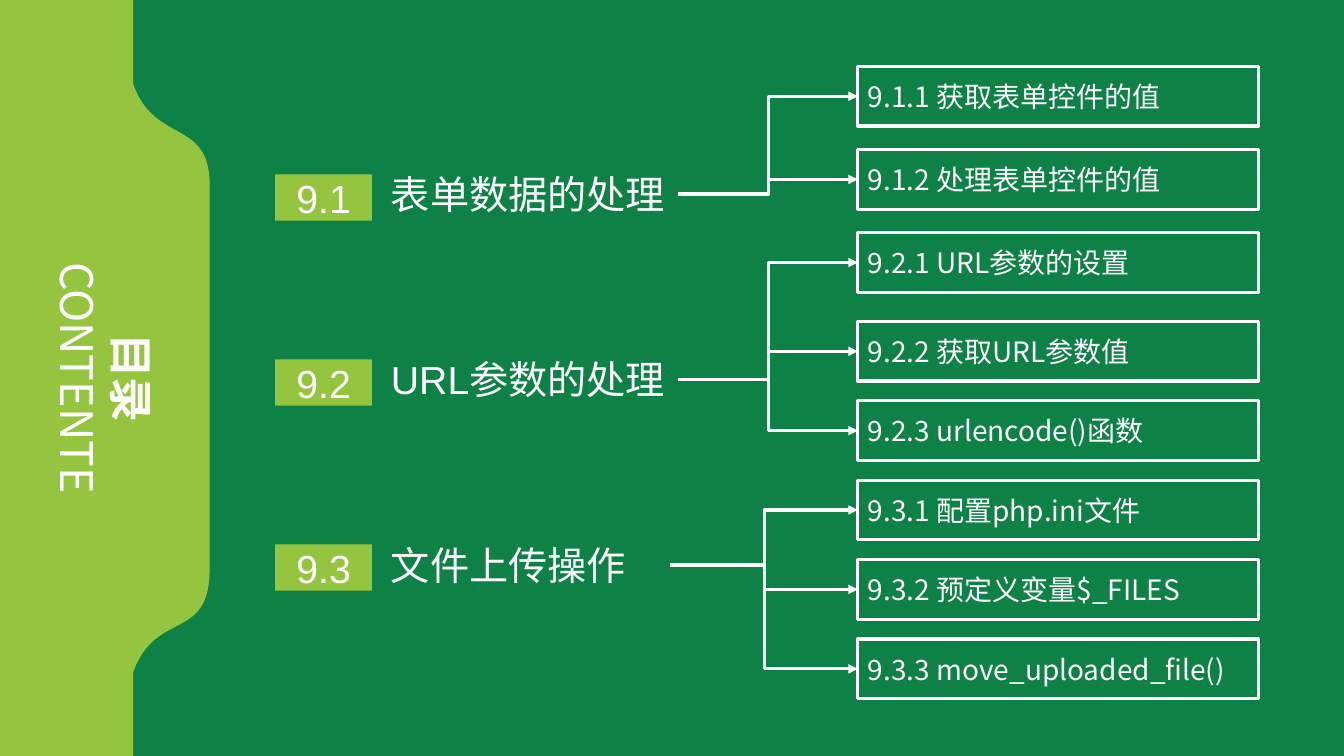
from dataclasses import dataclass

from lxml import etree
from pptx import Presentation
from pptx import util as u
from pptx.dml.color import RGBColor
from pptx.enum import shapes, text
from pptx.oxml.ns import qn
from pptx.shapes.autoshape import Shape
from pptx.slide import Slide
from pptx.text.text import TextFrame

DARK_GREEN = RGBColor(0x0E, 0x81, 0x46)
LIME = RGBColor(0x95, 0xC5, 0x3E)
WHITE = RGBColor(0xFF, 0xFF, 0xFF)
LATIN_FONT = "Arial"
CHINESE_FONT = "Noto Sans CJK SC"

# The slide is a grid of 100 columns and 100 rows
SLIDE_WIDTH = u.Inches(13.33)
SLIDE_HEIGHT = u.Inches(7.5)
LINE_WIDTH = u.Pt(2.25)
CURVE_STEPS = 24

Point = tuple[float, float]


@dataclass(frozen=True)
class Box:
    left: float
    top: float
    width: float
    height: float

    def emu(self) -> tuple[int, int, int, int]:
        return (columns(self.left), rows(self.top),
                columns(self.width), rows(self.height))


@dataclass(frozen=True)
class Chapter:
    number: str
    heading: str
    heading_width: float
    sections: tuple[str, ...]


CHAPTERS = (
    Chapter("9.1", "表单数据的处理", 22.13,
            ("9.1.1 获取表单控件的值", "9.1.2 处理表单控件的值")),
    Chapter("9.2", "URL参数的处理", 22.13,
            ("9.2.1 URL参数的设置", "9.2.2 获取URL参数值",
             "9.2.3 urlencode()函数")),
    Chapter("9.3", "文件上传操作", 21.53,
            ("9.3.1 配置php.ini文件", "9.3.2 预定义变量$_FILES",
             "9.3.3 move_uploaded_file()")),
)
# Three wider spaced section rows, then five closer ones
SECTION_TOPS = ([8.8 + 11 * row for row in range(3)]
                + [42.53 + 10.5 * row for row in range(5)])


def columns(count: float) -> int:
    return round(SLIDE_WIDTH * count / 100)


def rows(count: float) -> int:
    return round(SLIDE_HEIGHT * count / 100)


def curve(start: Point, pull_out: Point, pull_in: Point, end: Point) -> list[Point]:
    """Points along a cubic curve."""
    points = []
    for step in range(CURVE_STEPS + 1):
        t = step / CURVE_STEPS
        weights = ((1 - t) ** 3, 3 * t * (1 - t) ** 2, 3 * t * t * (1 - t), t ** 3)
        controls = (start, pull_out, pull_in, end)
        points.append((sum(w * x for w, (x, _) in zip(weights, controls)),
                       sum(w * y for w, (_, y) in zip(weights, controls))))
    return points


def write(frame: TextFrame, lines: tuple[str, ...], size: float, font: str,
          alignment: text.PP_ALIGN, anchor: text.MSO_ANCHOR,
          bold_first: bool = False) -> None:
    frame.word_wrap = True
    frame.auto_size = text.MSO_AUTO_SIZE.NONE
    frame.vertical_anchor = anchor
    for index, line in enumerate(lines):
        paragraph = frame.paragraphs[0] if index == 0 else frame.add_paragraph()
        paragraph.alignment = alignment
        run = paragraph.add_run()
        run.text = line
        run.font.size = u.Pt(size)
        run.font.bold = bold_first and index == 0
        run.font.color.rgb = WHITE
        run.font.name = font
        properties = run._r.get_or_add_rPr()
        etree.SubElement(properties, qn("a:ea"), typeface=CHINESE_FONT)


def add_panel(slide: Slide) -> Shape:
    outline = [(0, 0), (9.9, 0)]
    outline += curve((9.9, 11.07), (11.48, 19.2), (15.68, 15.6), (15.6, 24.67))
    outline += curve((15.6, 75.33), (15.6, 84.93), (11.63, 80.53), (9.9, 88.93))
    outline += [(9.9, 100), (0, 100)]
    corners = [(columns(x), rows(y)) for x, y in outline]
    builder = slide.shapes.build_freeform(*corners[0])
    builder.add_line_segments(corners[1:], close=True)
    panel = builder.convert_to_shape()
    panel.shadow.inherit = False
    panel.fill.solid()
    panel.fill.fore_color.rgb = LIME
    panel.line.fill.background()
    return panel


def add_title(slide: Slide) -> None:
    title = slide.shapes.title
    title.left, title.top, title.width, title.height = Box(
        -2.93, 42.13, 21.45, 15.73).emu()
    title.rotation = 90
    write(title.text_frame, ("目录", "CONTENTE"), 32, CHINESE_FONT,
          text.PP_ALIGN.CENTER, text.MSO_ANCHOR.TOP, bold_first=True)


def add_rectangle(slide: Slide, box: Box) -> Shape:
    rectangle = slide.shapes.add_shape(shapes.MSO_SHAPE.RECTANGLE, *box.emu())
    rectangle.shadow.inherit = False
    return rectangle


def add_badge(slide: Slide, number: str, top: float) -> None:
    badge = add_rectangle(slide, Box(20.48, top, 7.2, 6.13))
    badge.fill.solid()
    badge.fill.fore_color.rgb = LIME
    badge.line.fill.background()
    write(badge.text_frame, (number,), 28, LATIN_FONT,
          text.PP_ALIGN.CENTER, text.MSO_ANCHOR.MIDDLE)


def add_heading(slide: Slide, chapter: Chapter, top: float) -> Shape:
    heading = slide.shapes.add_textbox(
        *Box(28.35, top, chapter.heading_width, 7.6).emu())
    write(heading.text_frame, (chapter.heading,), 28, LATIN_FONT,
          text.PP_ALIGN.LEFT, text.MSO_ANCHOR.TOP)
    return heading


def add_section(slide: Slide, name: str, top: float) -> Shape:
    section = add_rectangle(slide, Box(63.83, top, 29.78, 7.87))
    section.fill.background()
    section.line.color.rgb = WHITE
    section.line.width = LINE_WIDTH
    write(section.text_frame, (name,), 20, CHINESE_FONT,
          text.PP_ALIGN.LEFT, text.MSO_ANCHOR.MIDDLE)
    return section


def add_branch(slide: Slide, heading: Shape, section: Shape) -> None:
    branch = slide.shapes.add_connector(
        shapes.MSO_CONNECTOR.ELBOW,
        heading.left + heading.width, heading.top + heading.height // 2,
        section.left, section.top + section.height // 2)
    branch.begin_connect(heading, 3)
    branch.end_connect(section, 1)
    branch.line.color.rgb = WHITE
    branch.line.width = LINE_WIDTH
    etree.SubElement(branch.line._get_or_add_ln(), qn("a:tailEnd"), type="triangle")
    etree.SubElement(branch.element.spPr, qn("a:effectLst"))


def main() -> None:
    presentation = Presentation()
    presentation.slide_width = SLIDE_WIDTH
    presentation.slide_height = SLIDE_HEIGHT
    slide = presentation.slides.add_slide(presentation.slide_layouts[5])
    slide.background.fill.solid()
    slide.background.fill.fore_color.rgb = DARK_GREEN

    # Side panel, placed behind the rotated title
    panel = add_panel(slide)
    add_title(slide)
    slide.shapes.title.element.addprevious(panel.element)

    # Chapters with their branches to sections
    section_tops = iter(SECTION_TOPS)
    for index, chapter in enumerate(CHAPTERS):
        heading = add_heading(slide, chapter, 21.87 + 24.53 * index)
        add_badge(slide, chapter.number, 23.07 + 24.47 * index)
        for name in chapter.sections:
            section = add_section(slide, name, next(section_tops))
            add_branch(slide, heading, section)

    presentation.save("out.pptx")


if __name__ == "__main__":
    main()
